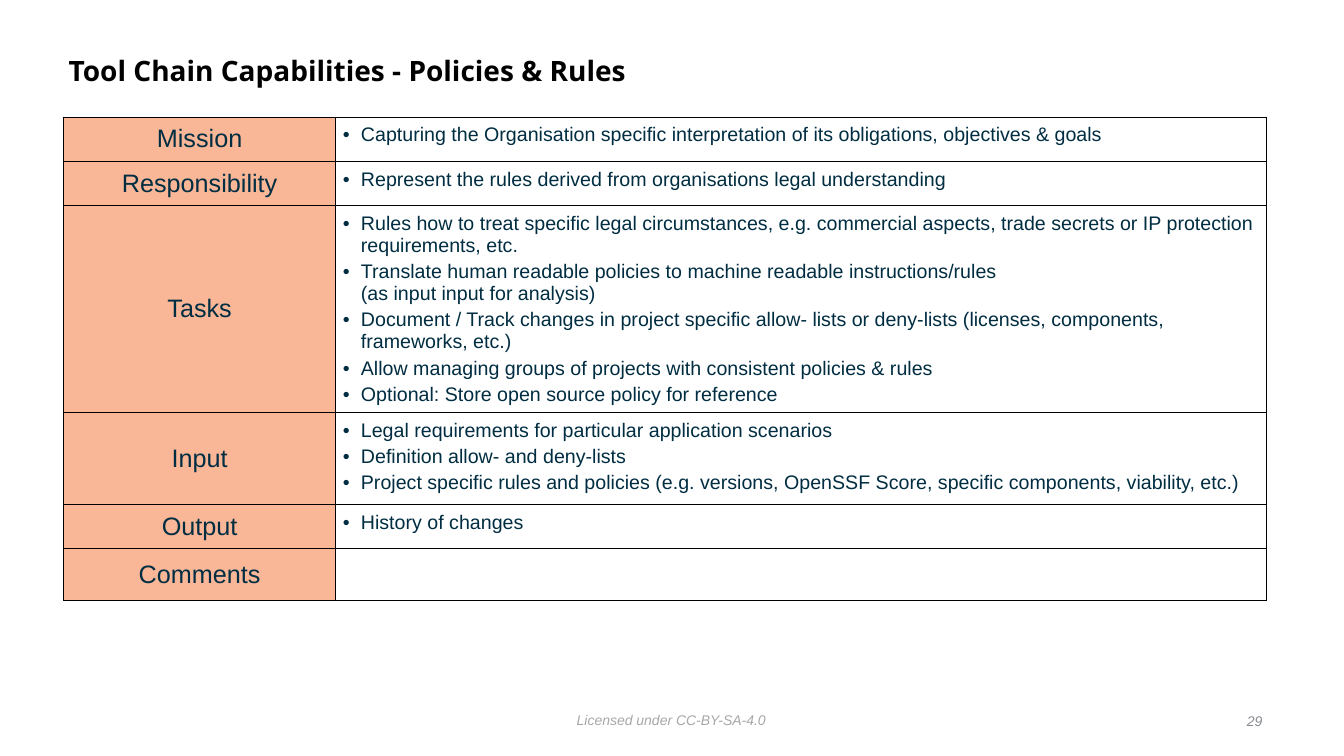
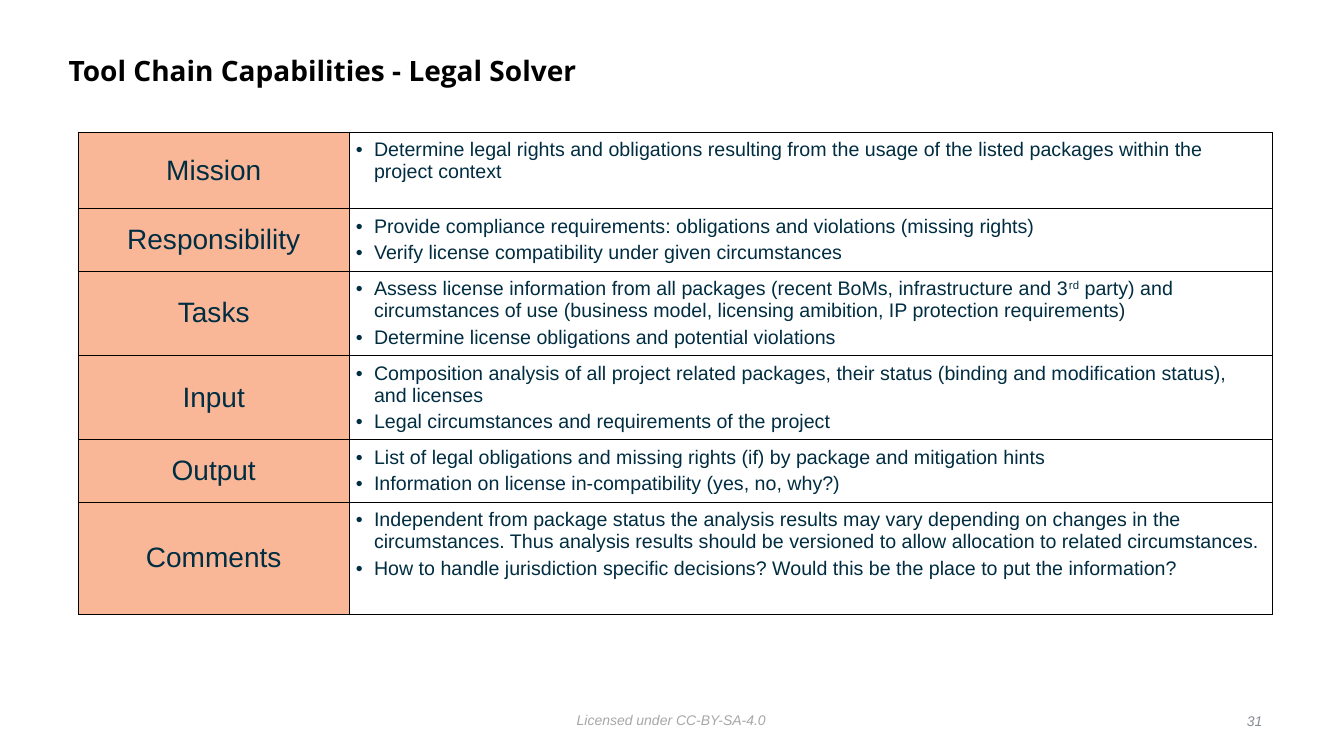
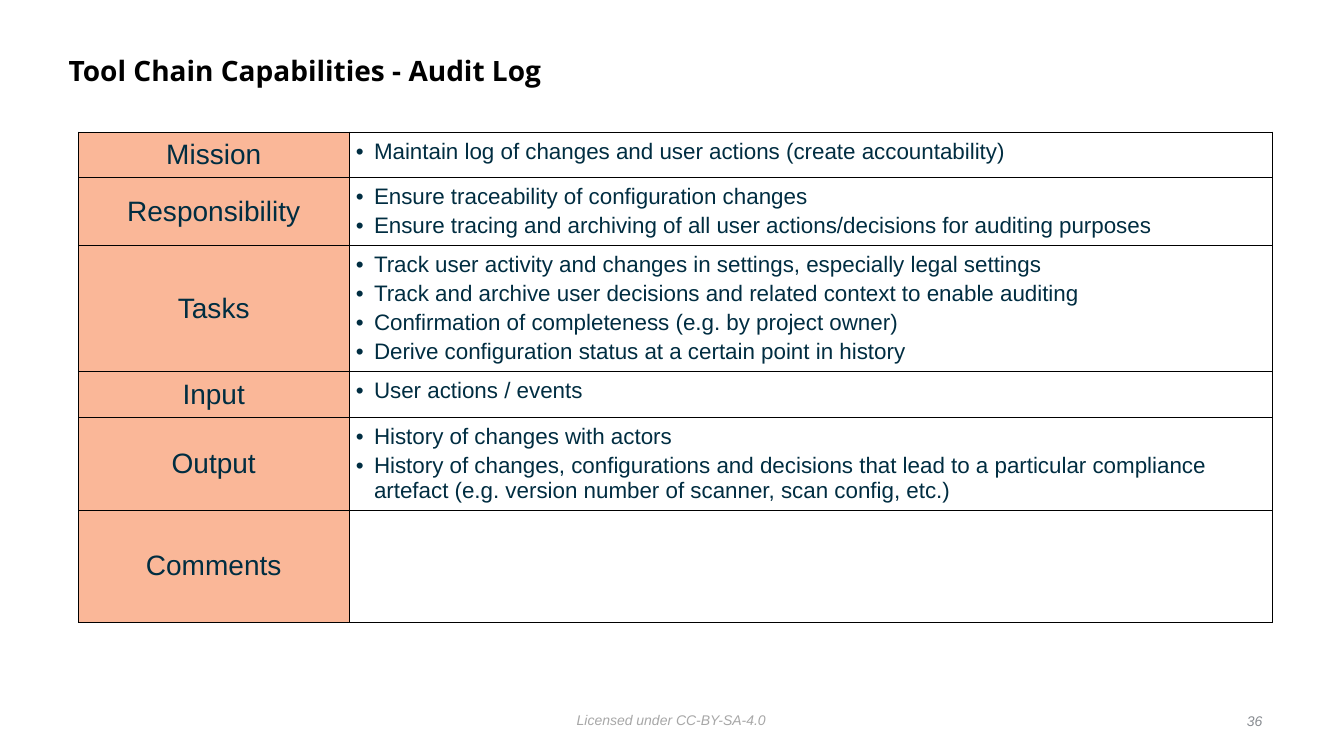
from dataclasses import dataclass

from lxml import etree
from pptx import Presentation
from pptx.dml.color import RGBColor
from pptx.enum.text import MSO_ANCHOR, MSO_AUTO_SIZE, PP_ALIGN
from pptx.oxml.ns import qn
from pptx.util import Inches, Pt

LEFT, CENTER, RIGHT = PP_ALIGN.LEFT, PP_ALIGN.CENTER, PP_ALIGN.RIGHT
TOP, MIDDLE = MSO_ANCHOR.TOP, MSO_ANCHOR.MIDDLE
FIT_SHAPE, NO_FIT = MSO_AUTO_SIZE.SHAPE_TO_FIT_TEXT, MSO_AUTO_SIZE.NONE

# Shared look
BODY_FONT, TITLE_FONT = "Arial", "Open Sans"
BLACK, INK, PEACH = "000000", "002D41", "FAB798"
LICENSE_GRAY, NUMBER_GRAY = "A7A7A7", "888C91"
TITLE_PREFIX = "Tool Chain Capabilities - "
LICENSE = "Licensed under CC-BY-SA-4.0"
TOPICS = ["Mission", "Responsibility", "Tasks", "Input", "Output", "Comments"]
TITLE_ONLY = 5


@dataclass
class Capability:
    """One slide: its table geometry and one list of bullets per topic."""
    name: str
    number: int
    left: float
    top: float
    columns: tuple[float, float]
    rows: list[float]
    topic_size: int
    bullet_size: int
    bullets: list[list[str]]


# Text between ^ marks is superscript
CAPABILITIES = [
    Capability(
        "Policies & Rules", 29, 0.63, 1.16, (2.7, 9.23),
        [0.44, 0.44, 1.91, 0.91, 0.44, 0.51], 18, 14,
        [
            ["Capturing the Organisation specific interpretation of its obligations, objectives & goals"],
            ["Represent the rules derived from organisations legal understanding"],
            ["Rules how to treat specific legal circumstances, e.g. commercial aspects, "
             "trade secrets or IP protection requirements, etc.",
             "Translate human readable policies to machine readable instructions/rules\n"
             "(as input input for analysis)",
             "Document / Track changes in project specific allow- lists or deny-lists "
             "(licenses, components, frameworks, etc.)",
             "Allow managing groups of projects with consistent policies & rules",
             "Optional: Store open source policy for reference"],
            ["Legal requirements for particular application scenarios",
             "Definition allow- and deny-lists",
             "Project specific rules and policies (e.g. versions, OpenSSF Score, "
             "specific components, viability, etc.)"],
            ["History of changes"],
            [],
        ]),
    Capability(
        "Legal Solver", 31, 0.78, 1.31, (2.68, 9.16),
        [0.76, 0.45, 0.45, 0.45, 0.45, 1.11], 20, 14,
        [
            ["Determine legal rights and obligations resulting from the usage of the "
             "listed packages within the project context"],
            ["Provide compliance requirements: obligations and violations (missing rights)",
             "Verify license compatibility under given circumstances"],
            ["Assess license information from all packages (recent BoMs, infrastructure "
             "and 3^rd^ party) and circumstances of use (business model, licensing "
             "amibition, IP protection requirements)",
             "Determine license obligations and potential violations"],
            ["Composition analysis of all project related packages, their status "
             "(binding and modification status), and licenses",
             "Legal circumstances and requirements of the project"],
            ["List of legal obligations and missing rights (if) by package and mitigation hints",
             "Information on license in-compatibility (yes, no, why?)"],
            ["Independent from package status the analysis results may vary depending on "
             "changes in the circumstances. Thus analysis results should be versioned to "
             "allow allocation to related circumstances.",
             "How to handle jurisdiction specific decisions? Would this be the place to "
             "put the information?"],
        ]),
    Capability(
        "Audit Log", 36, 0.78, 1.31, (2.68, 9.16),
        [0.45, 0.45, 0.45, 0.45, 0.8, 1.11], 20, 16,
        [
            ["Maintain log of changes and user actions (create accountability)"],
            ["Ensure traceability of configuration changes",
             "Ensure tracing and archiving of all user actions/decisions for auditing purposes"],
            ["Track user activity and changes in settings, especially legal settings",
             "Track and archive user decisions and related context to enable auditing",
             "Confirmation of completeness (e.g. by project owner)",
             "Derive configuration status at a certain point in history"],
            ["User actions / events"],
            ["History of changes with actors",
             "History of changes, configurations and decisions that lead to a particular "
             "compliance artefact (e.g. version number of scanner, scan config, etc.)"],
            [],
        ]),
]


def rgb(color: str) -> RGBColor:
    return RGBColor.from_string(color)


def style_font(font, size: float, color: str, name: str = BODY_FONT,
               bold: bool = False, italic: bool = False) -> None:
    font.name, font.size, font.bold, font.italic = name, Pt(size), bold, italic
    font.color.rgb = rgb(color)


def set_margins(target, inches: float) -> None:
    """Give a text frame or a cell four equal margins."""
    target.margin_left = target.margin_right = Inches(inches)
    target.margin_top = target.margin_bottom = Inches(inches)


def add_title(slide, text: str) -> None:
    title = slide.shapes.title
    title.left, title.top = Inches(0.63), Inches(0.39)
    title.width, title.height = Inches(10.75), Inches(0.65)
    frame = title.text_frame
    frame.text = text
    frame.auto_size, frame.vertical_anchor = NO_FIT, MIDDLE
    set_margins(frame, 0.05)
    line = frame.paragraphs[0]
    line.alignment, line.line_spacing = LEFT, 0.9
    style_font(line.runs[0].font, 20, BLACK, TITLE_FONT, bold=True)


def add_small_print(slide, text: str, left: float, top: float, width: float,
                    color: str, align, anchor):
    note = slide.shapes.add_textbox(Inches(left), Inches(top), Inches(width), Inches(0.25))
    frame = note.text_frame
    frame.text = text
    frame.word_wrap, frame.auto_size, frame.vertical_anchor = False, FIT_SHAPE, anchor
    set_margins(frame, 0.05)
    frame.paragraphs[0].alignment = align
    style_font(frame.paragraphs[0].runs[0].font, 10, color, italic=True)
    return note


def set_borders(cell) -> None:
    """Thin black lines on all sides; they must precede the cell fill."""
    properties = cell._tc.get_or_add_tcPr()
    for position, side in enumerate(("a:lnL", "a:lnR", "a:lnT", "a:lnB")):
        border = etree.Element(qn(side), w=str(Pt(0.5)))
        fill = etree.SubElement(border, qn("a:solidFill"))
        etree.SubElement(fill, qn("a:srgbClr"), val=BLACK)
        properties.insert(position, border)


def fill_topic(cell, topic: str, size: int) -> None:
    cell.fill.solid()
    cell.fill.fore_color.rgb = rgb(PEACH)
    set_margins(cell, 0)
    cell.vertical_anchor = MIDDLE
    cell.text_frame.text = topic
    line = cell.text_frame.paragraphs[0]
    line.alignment = CENTER
    style_font(line.runs[0].font, size, INK)


def add_bullet(paragraph, text: str, size: int) -> None:
    properties = paragraph._p.get_or_add_pPr()
    properties.set("marL", str(Inches(0.18)))
    properties.set("indent", str(-Inches(0.18)))
    etree.SubElement(properties, qn("a:buFont"), typeface=BODY_FONT)
    etree.SubElement(properties, qn("a:buChar"), char="•")
    base, *rest = text.split("^")
    paragraph.text = base
    for position, part in enumerate(rest):
        run = paragraph.add_run()
        run.text = part
        if position % 2 == 0:
            run.font._element.set("baseline", "30000")
    for run in paragraph.runs:
        style_font(run.font, size, INK)


def fill_bullets(cell, bullets: list[str], size: int) -> None:
    cell.fill.background()
    cell.vertical_anchor = TOP
    if not bullets:
        return
    set_margins(cell, 0.07)
    frame = cell.text_frame
    for position, text in enumerate(bullets):
        paragraph = frame.add_paragraph() if position else frame.paragraphs[0]
        add_bullet(paragraph, text, size)
        paragraph.space_before = Pt(3 if position else 0)


def add_capability_table(slide, capability: Capability) -> None:
    table = slide.shapes.add_table(
        len(TOPICS), 2, Inches(capability.left), Inches(capability.top),
        Inches(sum(capability.columns)), Inches(sum(capability.rows))).table
    table.first_row = table.horz_banding = False
    for column, width in zip(table.columns, capability.columns):
        column.width = Inches(width)
    for row, height, topic, bullets in zip(
            table.rows, capability.rows, TOPICS, capability.bullets):
        row.height = Inches(height)
        topic_cell, bullet_cell = row.cells
        fill_topic(topic_cell, topic, capability.topic_size)
        fill_bullets(bullet_cell, bullets, capability.bullet_size)
        set_borders(topic_cell)
        set_borders(bullet_cell)


def main() -> None:
    deck = Presentation()
    deck.slide_width, deck.slide_height = Inches(13.33), Inches(7.5)
    layout = deck.slide_layouts[TITLE_ONLY]

    # The licence line replaces the layout's own footer placeholders
    for placeholder in list(layout.placeholders)[1:]:
        layout.shapes.element.remove(placeholder.element)

    for position, capability in enumerate(CAPABILITIES):
        slide = deck.slides.add_slide(layout)
        if position == 0:
            license_line = add_small_print(slide, LICENSE, 5.67, 7.01, 1.99,
                                           LICENSE_GRAY, LEFT, TOP)
            layout.shapes.element.append(license_line.element)
        add_title(slide, TITLE_PREFIX + capability.name)
        add_capability_table(slide, capability)
        add_small_print(slide, str(capability.number), 12.3, 7.03, 0.27,
                        NUMBER_GRAY, RIGHT, MIDDLE)

    deck.save("out.pptx")


if __name__ == "__main__":
    main()
